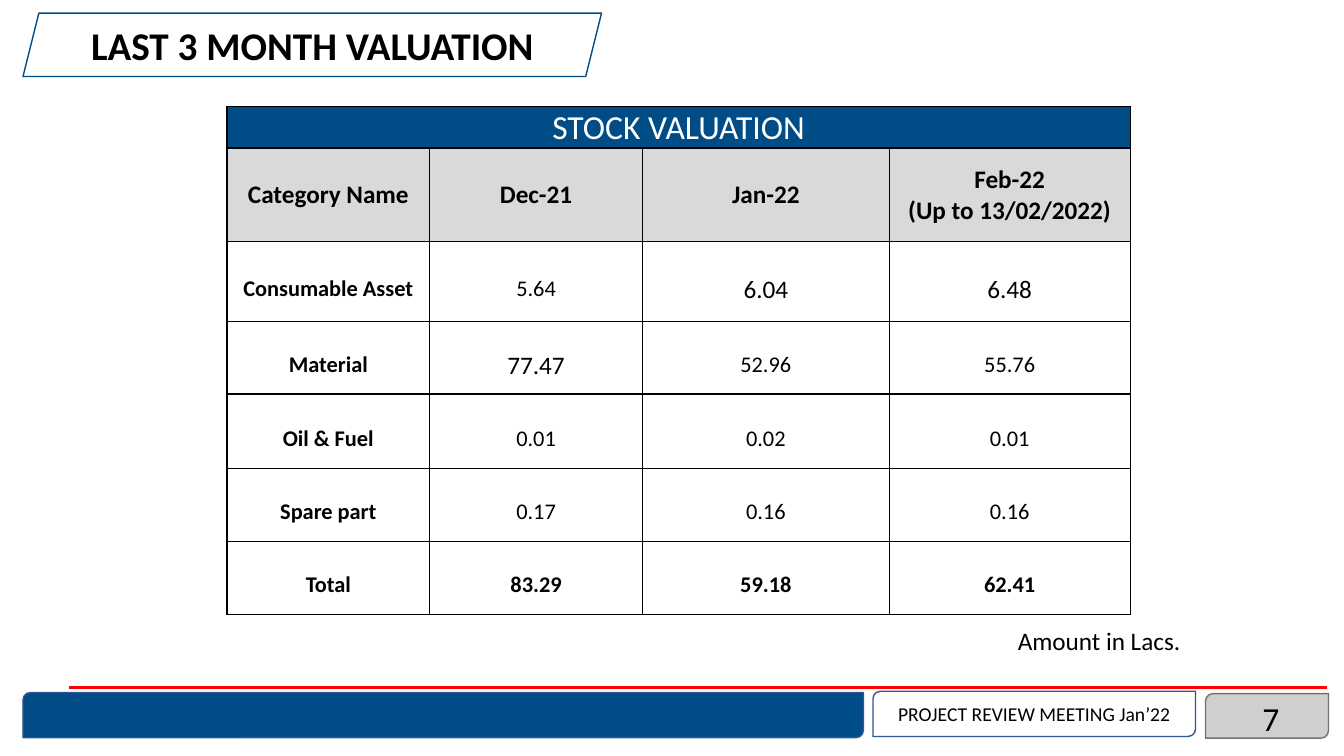
import pptx
import pptx.util
import pptx.dml.color
import pptx.enum.shapes
import pptx.enum.text
import pptx.oxml
import pptx.oxml.ns

Cm, Pt = pptx.util.Cm, pptx.util.Pt
RGBColor = pptx.dml.color.RGBColor
SHAPE = pptx.enum.shapes.MSO_SHAPE
ALIGN = pptx.enum.text.PP_ALIGN
MIDDLE = pptx.enum.text.MSO_ANCHOR.MIDDLE
BOTTOM = pptx.enum.text.MSO_ANCHOR.BOTTOM

BLUE = RGBColor(0x00, 0x4C, 0x86)
EDGE = RGBColor(0x32, 0x54, 0x91)
RED = RGBColor(0xFF, 0x00, 0x00)
BLACK = RGBColor(0x00, 0x00, 0x00)
WHITE = RGBColor(0xFF, 0xFF, 0xFF)
HEAD_GREY = RGBColor(0xD9, 0xD9, 0xD9)
BOX_GREY = RGBColor(0xD0, 0xCE, 0xCE)
BOX_EDGE = RGBColor(0x76, 0x71, 0x71)

# Content
TITLE = "LAST 3 MONTH VALUATION"
MEETING = "PROJECT REVIEW MEETING Jan’22"
PAGE = "7"
NOTE = "Amount in Lacs."
TABLE_TITLE = "STOCK VALUATION"
HEADERS = ["Category Name", "Dec-21", "Jan-22", "Feb-22\n(Up to 13/02/2022)"]
ROWS = [
    ["Consumable Asset", "5.64", "6.04", "6.48"],
    ["Material", "77.47", "52.96", "55.76"],
    ["Oil & Fuel", "0.01", "0.02", "0.01"],
    ["Spare part", "0.17", "0.16", "0.16"],
    ["Total", "83.29", "59.18", "62.41"],
]
LARGE_VALUES = {"6.04", "6.48", "77.47"}

# Measures in centimetres
COL_WIDTHS = [5.11, 5.36, 6.22, 6.07]
ROW_HEIGHTS = [0.84, 2.36, 2.01, 1.83, 1.88, 1.83, 1.85]
TABLE_AT = (5.72, 2.69)


def write(tf, text, align, size, color=BLACK, bold=False, spacing=None):
    for i, line in enumerate(text.split("\n")):
        p = tf.paragraphs[0] if i == 0 else tf.add_paragraph()
        p.alignment = align
        if spacing:
            p.line_spacing = spacing
        r = p.add_run()
        r.text = line
        r.font.color.rgb = color
        for name, value in {"name": "Calibri", "size": Pt(size), "bold": bold}.items():
            setattr(r.font, name, value)


def add_box(kind, box, fill, line):
    sp = s.shapes.add_shape(kind, *map(Cm, box))
    sp.shadow.inherit = False
    if fill is None:
        sp.fill.background()
    else:
        sp.fill.solid()
        sp.fill.fore_color.rgb = fill
    sp.line.color.rgb = line
    sp.line.width = Pt(1)
    sp.text_frame.vertical_anchor = MIDDLE
    return sp


def add_text(box, text, align, size, anchor):
    tf = s.shapes.add_textbox(*map(Cm, box)).text_frame
    tf.word_wrap = True
    tf.vertical_anchor = anchor
    write(tf, text, align, size)


def add_borders(cell):
    tc_pr = cell._tc.get_or_add_tcPr()
    for side in ("lnL", "lnR", "lnT", "lnB"):
        tc_pr.append(pptx.oxml.parse_xml(
            f'<a:{side} {pptx.oxml.ns.nsdecls("a")} w="12700"><a:solidFill>'
            f'<a:srgbClr val="{BLACK}"/></a:solidFill></a:{side}>'))


def format_cell(cell, fill, anchor):
    add_borders(cell)
    if fill is None:
        cell.fill.background()
    else:
        cell.fill.solid()
        cell.fill.fore_color.rgb = fill
    margins = {"margin_left": Cm(0.02), "margin_right": Cm(0.02),
               "margin_top": Cm(0.02), "margin_bottom": Cm(0)}
    for name, value in {**margins, "vertical_anchor": anchor}.items():
        setattr(cell, name, value)


prs = pptx.Presentation()
prs.slide_width, prs.slide_height = Cm(33.87), Cm(19.05)
s = prs.slides.add_slide(prs.slide_layouts[6])

# Page number box and red rule
add_box(SHAPE.ROUND_2_DIAG_RECTANGLE, (30.38, 17.48, 3.1, 1.12), BOX_GREY, BOX_EDGE)
rule = s.shapes.add_connector(pptx.enum.shapes.MSO_CONNECTOR.STRAIGHT,
                              Cm(1.75), Cm(17.32), Cm(33.45), Cm(17.32))
rule.line.color.rgb = RED
rule.line.width = Pt(2.25)
rule._element.spPr.append(
    pptx.oxml.parse_xml(f'<a:effectLst {pptx.oxml.ns.nsdecls("a")}/>'))

# Title and footer bar
title = add_box(SHAPE.PARALLELOGRAM, (0.58, 0.33, 14.58, 1.6), None, BLUE)
write(title.text_frame, TITLE, ALIGN.CENTER, 28, bold=True)
add_box(SHAPE.ROUND_2_DIAG_RECTANGLE, (0.58, 17.45, 21.18, 1.14), BLUE, EDGE)
add_text((24.87, 17.58, 7.62, 1.02), PAGE, ALIGN.RIGHT, 24, MIDDLE)

# Stock valuation table
table = s.shapes.add_table(len(ROW_HEIGHTS), len(COL_WIDTHS), *map(Cm, TABLE_AT),
                           Cm(sum(COL_WIDTHS)), Cm(sum(ROW_HEIGHTS))).table
for col, width in zip(table.columns, COL_WIDTHS):
    col.width = Cm(width)
for row, height in zip(table.rows, ROW_HEIGHTS):
    row.height = Cm(height)

for cell in table.rows[0].cells:
    format_cell(cell, BLUE, BOTTOM)
table.cell(0, 0).merge(table.cell(0, len(COL_WIDTHS) - 1))
write(table.cell(0, 0).text_frame, TABLE_TITLE, ALIGN.CENTER, 24, WHITE)

for cell, text in zip(table.rows[1].cells, HEADERS):
    format_cell(cell, HEAD_GREY, MIDDLE)
    write(cell.text_frame, text, ALIGN.CENTER, 18, bold=True)

for i, values in enumerate(ROWS, 2):
    for j, text in enumerate(values):
        cell = table.cell(i, j)
        format_cell(cell, None, MIDDLE)
        write(cell.text_frame, text, ALIGN.CENTER, 18 if text in LARGE_VALUES else 16,
              bold=j == 0 or values[0] == "Total", spacing=1.5)

# Unit note and meeting label
add_text((25.4, 15.62, 6.05, 1.02), NOTE, ALIGN.LEFT, 18, pptx.enum.text.MSO_ANCHOR.TOP)
meeting = add_box(SHAPE.ROUND_2_DIAG_RECTANGLE, (22, 17.42, 8.13, 1.14), None, EDGE)
write(meeting.text_frame, MEETING, ALIGN.CENTER, 14)

prs.save("out.pptx")
